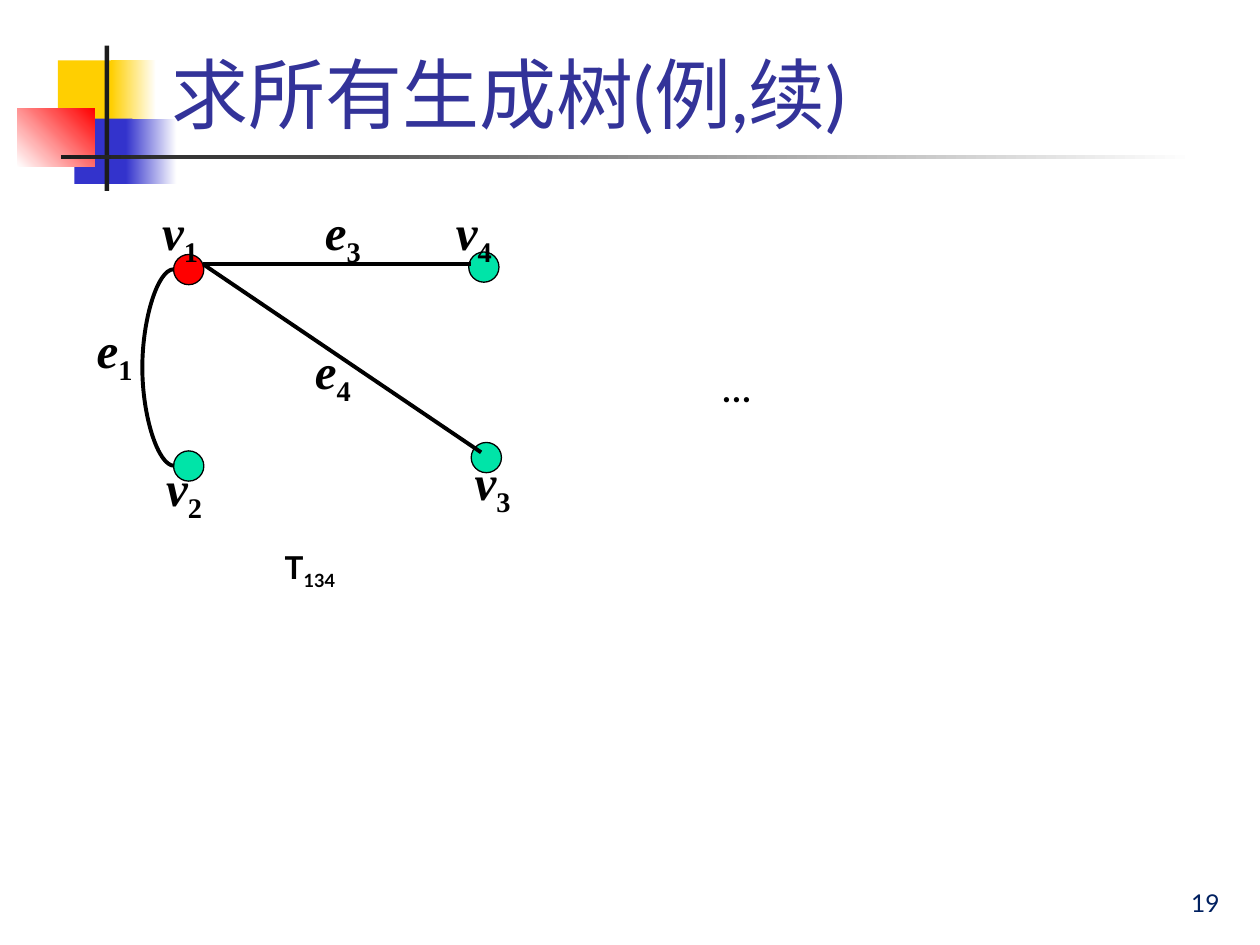
import pptx
import pptx.util
import pptx.dml.color
import pptx.enum.shapes
import pptx.enum.text
import pptx.oxml.ns
from dataclasses import dataclass
from lxml import etree
from pptx.util import Cm, Pt

SHAPE = pptx.enum.shapes.MSO_SHAPE
LINK = pptx.enum.shapes.MSO_CONNECTOR
ALIGN = pptx.enum.text.PP_ALIGN
ANCHOR = pptx.enum.text.MSO_ANCHOR
FIT = pptx.enum.text.MSO_AUTO_SIZE
qn = pptx.oxml.ns.qn


@dataclass(frozen=True)
class Theme:
    gold: str = "FFCF01"
    blue: str = "3333CC"
    red: str = "FF0000"
    dark: str = "1C1C1C"
    white: str = "FFFFFF"
    black: str = "000000"
    green: str = "00E4A8"
    title: str = "333399"
    navy: str = "002060"
    sans: str = "Lato"
    serif: str = "Times New Roman"
    head: int = 44
    label: int = 28
    dots: int = 24
    name: int = 18
    page: int = 14
    edge: float = 2.25
    rim: float = 0.75


T = Theme()


def rgb(tone):
    return pptx.dml.color.RGBColor.from_string(tone)


def add_block(slide, box, first, last=None, angle=0):
    block = slide.shapes.add_shape(SHAPE.RECTANGLE, *map(Cm, box))
    block.shadow.inherit = False
    block.line.fill.background()
    if last is None:
        block.fill.solid()
        block.fill.fore_color.rgb = rgb(first)
        return
    block.fill.gradient()
    block.fill.gradient_angle = angle
    for stop, tone in zip(block.fill.gradient_stops, (first, last)):
        stop.color.rgb = rgb(tone)


def add_node(slide, left, top, tone):
    node = slide.shapes.add_shape(
        SHAPE.OVAL, Cm(left), Cm(top), Cm(0.61), Cm(0.61))
    node.shadow.inherit = False
    node.fill.solid()
    node.fill.fore_color.rgb = rgb(tone)
    node.line.color.rgb = rgb(T.black)
    node.line.width = Pt(T.rim)


def add_edge(slide, start, end, bend=None):
    kind = LINK.STRAIGHT if bend is None else LINK.CURVE
    edge = slide.shapes.add_connector(kind, *map(Cm, start + end))
    edge.line.color.rgb = rgb(T.black)
    edge.line.width = Pt(T.edge)
    props = edge._element.spPr
    etree.SubElement(props, qn("a:effectLst"))
    if bend is not None:
        ratio = round(bend / (end[0] - start[0]) * 100000)
        guides = props.find(qn("a:prstGeom")).find(qn("a:avLst"))
        etree.SubElement(guides, qn("a:gd"), name="adj1", fmla=f"val {ratio}")


def add_text(slide, box, runs, size, tone, face=T.sans, bold=False,
             align=ALIGN.LEFT, anchor=ANCHOR.TOP, wrap=False):
    frame = slide.shapes.add_textbox(*map(Cm, box)).text_frame
    frame.word_wrap = wrap
    frame.auto_size = FIT.NONE if wrap else FIT.SHAPE_TO_FIT_TEXT
    frame.vertical_anchor = anchor
    para = frame.paragraphs[0]
    para.alignment = align
    for text, slant, base in runs:
        run = para.add_run()
        run.text = text
        font = run.font
        font.size = Pt(size)
        font.name = face
        font.bold = bold
        font.italic = slant
        font.color.rgb = rgb(tone)
        if base:
            font._element.set("baseline", str(base * 1000))
    return para


def add_label(slide, left, top, sign, sub):
    runs = [(sign, True, 0), (sub, False, -25)]
    add_text(slide, (left, top, 1.3, 1.45), runs, T.label, T.black,
             T.serif, bold=True)


def add_shade(para):
    props = para.runs[0].font._element
    group = etree.Element(qn("a:effectLst"))
    shade = etree.SubElement(group, qn("a:outerShdw"), dist="35921",
                             dir="2700000", algn="ctr")
    etree.SubElement(shade, qn("a:srgbClr"), val=T.black)
    props.find(qn("a:solidFill")).addnext(group)


def add_decor(slide):
    add_block(slide, (1.17, 1.22, 1.22, 1.32), T.gold)
    add_block(slide, (2.24, 1.22, 0.91, 1.32), T.gold, T.white)
    add_block(slide, (1.5, 2.39, 1.17, 1.32), T.blue)
    add_block(slide, (2.54, 2.39, 1.02, 1.32), T.blue, T.white)
    add_block(slide, (0.35, 2.18, 1.56, 1.18), T.white, T.red, 45)
    add_block(slide, (2.11, 0.92, 0.09, 2.93), T.dark)
    add_block(slide, (1.23, 3.12, 22.86, 0.08), T.dark, T.white)


def add_graph(slide):
    for left, top, tone in ((3.5, 5.13, T.red), (9.45, 5.08, T.green),
                            (9.5, 8.92, T.green), (3.5, 9.09, T.green)):
        add_node(slide, left, top, tone)
    add_edge(slide, (4.1, 5.33), (9.5, 5.33))
    add_edge(slide, (3.5, 5.43), (3.51, 9.39), bend=-0.63)
    add_edge(slide, (4.1, 5.33), (9.7, 9.12))
    for spot in ((1.7, 6.32, "e", "1"), (6.3, 3.94, "e", "3"),
                 (6.1, 6.73, "e", "4"), (3.02, 3.94, "v", "1"),
                 (8.94, 3.94, "v", "4"), (9.32, 8.97, "v", "3"),
                 (3.1, 9.09, "v", "2")):
        add_label(slide, *spot)
    add_text(slide, (5.49, 10.92, 1.68, 1.14),
             [("T", False, 0), ("134", False, -25)],
             T.name, T.black, bold=True)


def main():
    deck = pptx.Presentation()
    deck.slide_width, deck.slide_height = Cm(25.4), Cm(19.05)
    slide = deck.slides.add_slide(deck.slide_layouts[6])
    add_decor(slide)
    add_graph(slide)
    add_text(slide, (14.3, 7.14, 1.27, 1.27), [("...", False, 0)],
             T.dots, T.black)
    title = add_text(slide, (3.2, 0.2, 21.64, 2.72),
                     [("求所有生成树(例,续)", False, 0)], T.head, T.title,
                     anchor=ANCHOR.BOTTOM, wrap=True)
    add_shade(title)
    add_text(slide, (19.56, 17.35, 5.28, 1.27), [("19", False, 0)],
             T.page, T.navy, align=ALIGN.RIGHT, anchor=ANCHOR.BOTTOM,
             wrap=True)
    deck.save("out.pptx")


if __name__ == "__main__":
    main()
